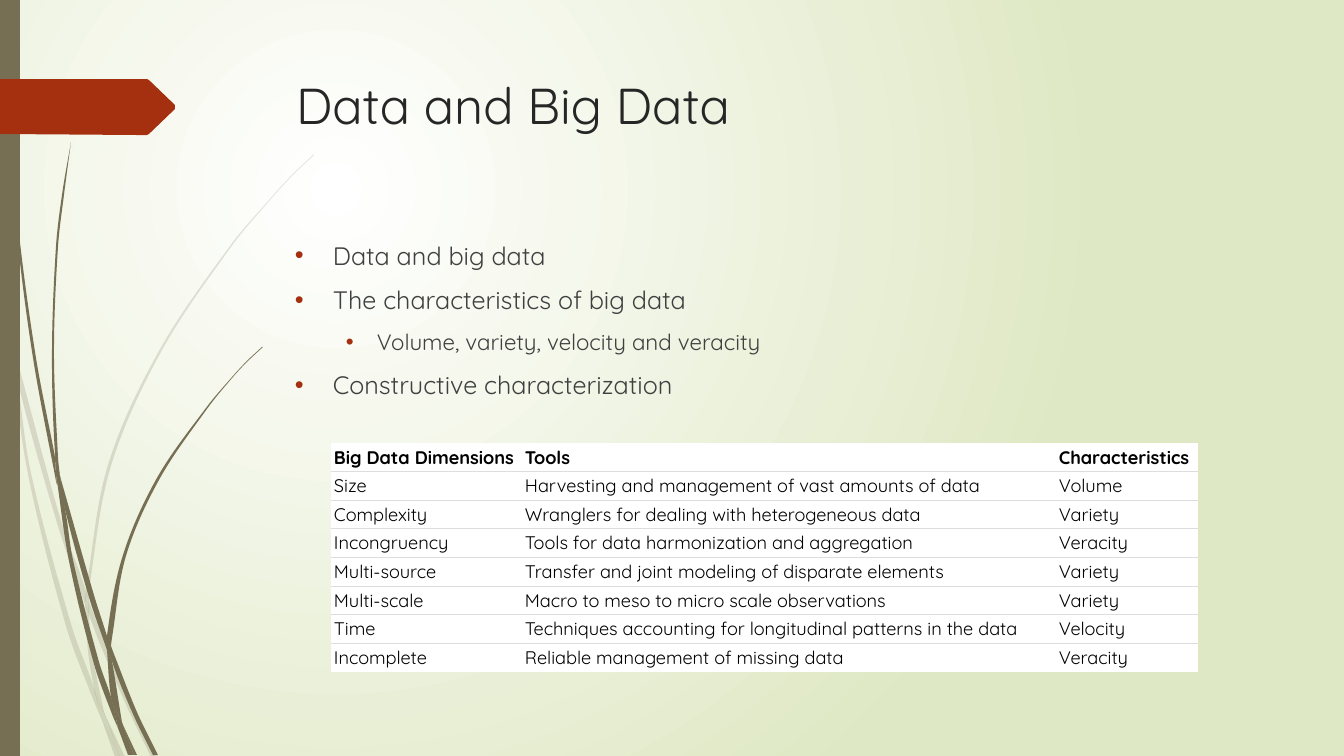
from math import cos, dist, hypot, radians

from lxml import etree
from pptx import Presentation
from pptx.dml.color import RGBColor
from pptx.enum.shapes import MSO_SHAPE
from pptx.enum.text import MSO_ANCHOR, PP_ALIGN
from pptx.oxml.ns import qn
from pptx.util import Pt

RECTANGLE = MSO_SHAPE.RECTANGLE
TOP, BOTTOM, LEFT = MSO_ANCHOR.TOP, MSO_ANCHOR.BOTTOM, PP_ALIGN.LEFT

SLIDE_WIDTH, SLIDE_HEIGHT = 1344, 756
EMU_PER_PX = 12192000 / SLIDE_WIDTH
FONT, BULLET_FONT = "Quicksand", "Arial"
OLIVE, RUST, WHITE, PALE_GREEN = "766F54", "A53010", "FFFFFF", "DFE8C4"
TITLE_INK, BODY_INK, TABLE_INK, RULE = "262626", "404040", "000000", "DDDDDD"
SHARP_TURN = cos(radians(40))

# The grass is pieced together from slivers, each an outline of x,y points.
FAINT_GRASS = """
11,353 9,325 0,284 0,301 10,347
58,526 85,604 86,591 62,524 14,348 17,379
93,612 89,601 89,615 124,700 151,757 156,757 128,698
120,757 125,757 106,717
94,688 71,624 31,473 17,379 11,353 28,474 66,626 93,699 102,720 100,713
85,604 88,651 94,688 97,698 106,717 104,712 92,651 89,615 89,613
89,589 111,466 161,352 231,247 270,200 292,176 314,155 314,154 291,176 270,199 230,246 159,351 108,465 86,589 86,591 89,601
102,720 115,757 120,757
89,613 89,615 89,601 86,591 85,604
97,698 94,688 100,713 102,720 120,757 106,717
"""
DARK_GRASS = """
7,111 17,235 33,358 56,481 57,485 55,461 55,457 36,358 19,234 8,110 5,48 4,0 3,0 4,48
89,597 107,650 107,638 107,636 94,595 60,476 65,509
114,654 111,646 112,661 133,714 153,755 158,755 137,712
111,697 99,662 73,560 65,509 57,481 69,561 94,664 112,714 118,728 117,723
60,476 58,457 54,352 58,247 64,195 71,142 62,195 56,247 52,352 55,453
134,755 137,755 123,725
57,481 65,509 60,476 55,453 55,457
112,638 126,556 159,480 207,409 233,377 247,362 263,347 262,347 247,361 233,376 206,408 157,478 123,555 107,636 111,646
118,728 128,755 132,755
107,650 111,697 117,712 123,725 122,722 112,661 110,656
107,650 110,656 112,661 111,646 107,636 107,638
117,712 111,697 117,723 118,728 131,755 134,755 123,725
"""
TAG = "175,109 149,134 147,135 137,135 0,134 0,79 137,79 147,79 149,80 175,105"

TOPICS = [
    (0, "Data and big data"),
    (0, "The characteristics of big data"),
    (1, "Volume, variety, velocity and veracity"),
    (0, "Constructive characterization"),
]
TOPIC_LEVELS = [(18, 38, 38), (16, 82, 31)]  # size in pt, margin, hanging indent
DIMENSIONS = [
    ("Big Data Dimensions", "Tools", "Characteristics"),
    ("Size", "Harvesting and management of vast amounts of data", "Volume"),
    ("Complexity", "Wranglers for dealing with heterogeneous data", "Variety"),
    ("Incongruency", "Tools for data harmonization and aggregation", "Veracity"),
    ("Multi-source", "Transfer and joint modeling of disparate elements", "Variety"),
    ("Multi-scale", "Macro to meso to micro scale observations", "Variety"),
    ("Time", "Techniques accounting for longitudinal patterns in the data", "Velocity"),
    ("Incomplete", "Reliable management of missing data", "Veracity"),
]


def px(length):
    return round(length * EMU_PER_PX)


def emu(box):
    return [px(length) for length in box]


def rgb(hex_colour):
    return RGBColor.from_string(hex_colour)


def sub(parent, tag, **attributes):
    return etree.SubElement(parent, qn(tag), attributes)


def set_font(paragraph, size, colour, bold=False):
    font = paragraph.font
    font.name, font.size, font.bold = FONT, Pt(size), bold
    font.color.rgb = rgb(colour)


def paint(shape, colour, opacity=100):
    shape.shadow.inherit = False
    shape.fill.solid()
    shape.fill.fore_color.rgb = rgb(colour)
    shape.line.fill.background()
    if opacity < 100:
        fill = shape.element.spPr.find(qn("a:solidFill"))
        sub(fill[0], "a:alpha", val=str(opacity * 1000))


def tangent(before, point, after):
    """Unit direction through a point, or None where the outline turns sharply."""
    ax, ay = point[0] - before[0], point[1] - before[1]
    bx, by = after[0] - point[0], after[1] - point[1]
    if ax * bx + ay * by < SHARP_TURN * hypot(ax, ay) * hypot(bx, by):
        return None
    length = hypot(ax + bx, ay + by)
    return (ax + bx) / length, (ay + by) / length


def curve_edges(shape, points):
    """Turn the straight edges of a closed freeform into smooth curves."""
    count = len(points)
    tangents = [tangent(points[i - 1], points[i], points[(i + 1) % count])
                for i in range(count)]
    for i, edge in enumerate(list(shape.element.iter(qn("a:lnTo")))):
        j = (i + 1) % count
        start, end = points[i], points[j]
        reach = dist(start, end) / 3
        chord = [(b - a) / (3 * reach) for a, b in zip(start, end)]
        leave, arrive = tangents[i] or chord, tangents[j] or chord
        controls = ([a + reach * d for a, d in zip(start, leave)],
                    [b - reach * d for b, d in zip(end, arrive)], end)
        curve = etree.Element(qn("a:cubicBezTo"))
        for x, y in controls:
            sub(curve, "a:pt", x=str(round(x - shape.left)), y=str(round(y - shape.top)))
        edge.getparent().replace(edge, curve)


def add_outline(slide, outline, colour, opacity=100, curved=False):
    points = [tuple(px(int(n)) for n in pair.split(",")) for pair in outline.split()]
    builder = slide.shapes.build_freeform(*points[0])
    builder.add_line_segments(points[1:] + points[:1], close=True)
    shape = builder.convert_to_shape()
    paint(shape, colour, opacity)
    if curved:
        curve_edges(shape, points)


def add_backdrop(slide):
    fill = slide.background.fill
    fill.gradient()
    for stop, colour in zip(fill.gradient_stops, (WHITE, PALE_GREEN)):
        stop.color.rgb = rgb(colour)
    linear = next(slide.element.iter(qn("a:lin")))
    gradient = linear.getparent()
    gradient.remove(linear)
    radial = sub(gradient, "a:path", path="circle")
    sub(radial, "a:fillToRect", l="50000", t="50000", r="100000", b="100000")


def add_decoration(slide):
    for grass, opacity in ((FAINT_GRASS, 20), (DARK_GRASS, 100)):
        for sliver in grass.strip().splitlines():
            add_outline(slide, sliver, OLIVE, opacity, curved=True)
    paint(slide.shapes.add_shape(RECTANGLE, *emu((0, 0, 20, SLIDE_HEIGHT))), OLIVE)
    add_outline(slide, TAG, RUST)


def fill_title(slide, box):
    title = slide.shapes.title
    title.left, title.top, title.width, title.height = emu(box)
    title.text_frame.text = "Data and Big Data"
    title.text_frame.vertical_anchor = TOP
    heading = title.text_frame.paragraphs[0]
    heading.alignment = LEFT
    set_font(heading, 36, TITLE_INK)


def add_topics(slide, box):
    frame = slide.shapes.add_textbox(*emu(box)).text_frame
    frame.word_wrap = True
    for index, (level, wording) in enumerate(TOPICS):
        topic = frame.add_paragraph() if index else frame.paragraphs[0]
        size, margin, hanging = TOPIC_LEVELS[level]
        topic.text, topic.level, topic.space_before = wording, level, Pt(10)
        set_font(topic, size, BODY_INK)
        properties = topic._p.get_or_add_pPr()
        properties.set("marL", str(px(margin)))
        properties.set("indent", str(-px(hanging)))
        defaults = properties.find(qn("a:defRPr"))
        bullet_colour = etree.Element(qn("a:buClr"))
        sub(bullet_colour, "a:srgbClr", val=RUST)
        for part in (bullet_colour,
                     etree.Element(qn("a:buFont"), typeface=BULLET_FONT),
                     etree.Element(qn("a:buChar"), char="•")):
            defaults.addprevious(part)


def add_borders(cell, ruled_edges):
    for edge in ("a:lnL", "a:lnR", "a:lnT", "a:lnB"):
        line = sub(cell._tc.get_or_add_tcPr(), edge, w=str(Pt(0.6)))
        if edge in ruled_edges:
            sub(sub(line, "a:solidFill"), "a:srgbClr", val=RULE)
        else:
            sub(line, "a:noFill")


def add_dimensions(slide, left, top, height, widths=(191, 534, 142)):
    rows = len(DIMENSIONS)
    box = (left, top, sum(widths), height)
    table = slide.shapes.add_table(rows, len(widths), *emu(box)).table
    table.first_row = table.horz_banding = False
    for column, width in zip(table.columns, widths):
        column.width = px(width)
    for row, entries in enumerate(DIMENSIONS):
        for column, entry in enumerate(entries):
            cell = table.cell(row, column)
            cell.text = entry
            cell.margin_left = cell.margin_right = px(3)
            cell.margin_top = cell.margin_bottom = px(3)
            cell.vertical_anchor = TOP if row else BOTTOM
            set_font(cell.text_frame.paragraphs[0], 13, TABLE_INK, bold=row == 0)
            add_borders(cell, ["a:lnT"] * (row > 0) + ["a:lnB"] * (row < rows - 1))
            cell.fill.solid()
            cell.fill.fore_color.rgb = rgb(WHITE)


def main():
    deck = Presentation()
    deck.slide_width, deck.slide_height = px(SLIDE_WIDTH), px(SLIDE_HEIGHT)
    slide = deck.slides.add_slide(deck.slide_layouts.get_by_name("Title Only"))
    add_backdrop(slide)
    add_decoration(slide)
    fill_title(slide, (286, 69, 983, 141))
    add_topics(slide, (285, 235, 983, 416))
    add_dimensions(slide, 331, 443, 229)
    deck.save("out.pptx")


if __name__ == "__main__":
    main()
